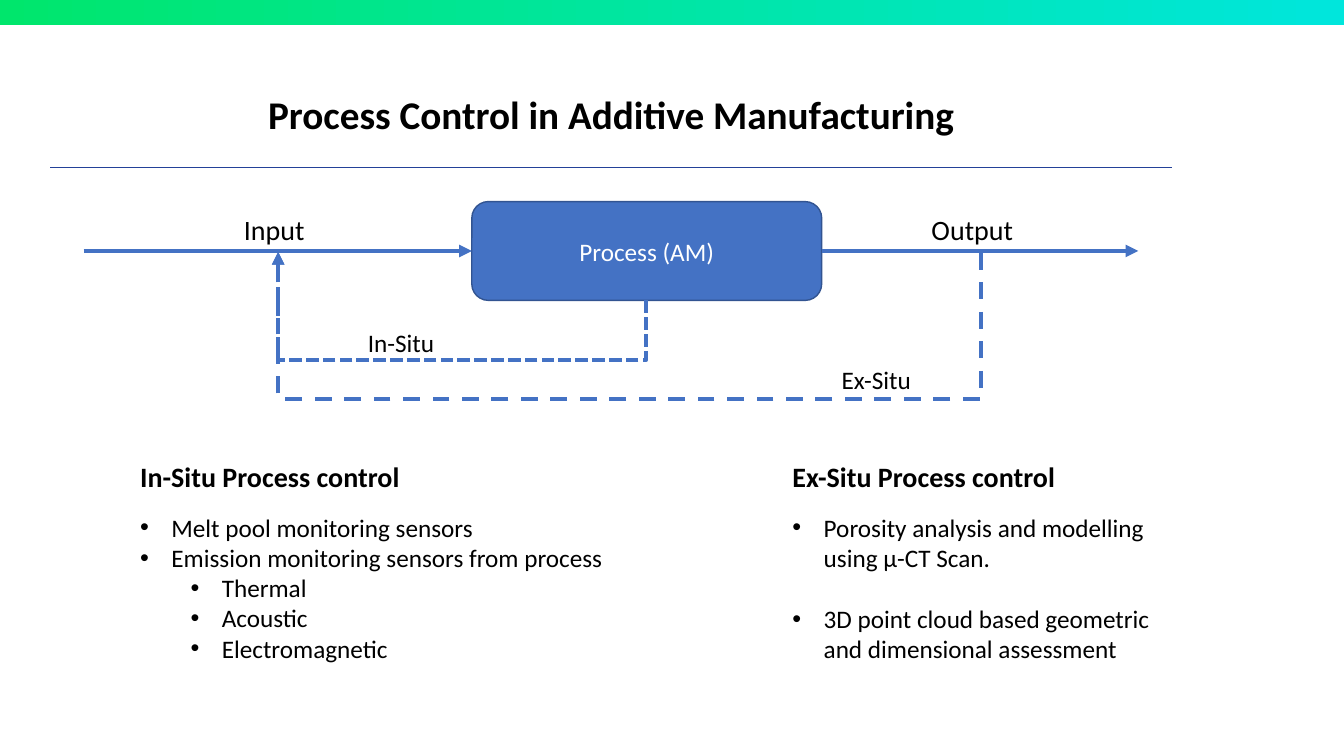
from dataclasses import dataclass

from pptx import Presentation
from pptx.dml.color import RGBColor
from pptx.enum.dml import MSO_LINE
from pptx.enum.shapes import MSO_CONNECTOR, MSO_SHAPE
from pptx.enum.text import MSO_ANCHOR, MSO_AUTO_SIZE, PP_ALIGN
from pptx.oxml.ns import qn
from pptx.util import Pt
from lxml import etree

PX = 9144
STRAIGHT, ELBOW = MSO_CONNECTOR.STRAIGHT, MSO_CONNECTOR.ELBOW
RECT, ROUND = MSO_SHAPE.RECTANGLE, MSO_SHAPE.ROUNDED_RECTANGLE
DOT, DASH = MSO_LINE.SQUARE_DOT, MSO_LINE.DASH
TOP, MIDDLE = MSO_ANCHOR.TOP, MSO_ANCHOR.MIDDLE
LEFT, CENTER = PP_ALIGN.LEFT, PP_ALIGN.CENTER
LEFT_SIDE, RIGHT_SIDE = 1, 3
COMPARE = 4


@dataclass(frozen=True)
class Theme:
    font: str = "Calibri"
    ink: str = "000000"
    white: str = "FFFFFF"
    blue: str = "4472C4"
    edge: str = "325491"
    rule: str = "234198"
    green: str = "00E66C"
    cyan: str = "00E6DC"
    title: int = 28
    head: int = 20
    body: int = 18


THEME = Theme()


def px(*nums):
    return [round(n * PX) for n in nums]


def rgb(code):
    return RGBColor.from_string(code)


def place(shape, box):
    shape.left, shape.top, shape.width, shape.height = px(*box)


def style(para, size, color=THEME.ink, bold=False, align=LEFT):
    para.alignment = align
    para.font.name = THEME.font
    para.font.size = Pt(size)
    para.font.bold = bold
    para.font.color.rgb = rgb(color)


def write(shape, text, size, anchor=TOP, **look):
    frame = shape.text_frame
    frame.text = text
    frame.word_wrap = True
    frame.auto_size = MSO_AUTO_SIZE.NONE
    frame.vertical_anchor = anchor
    para = frame.paragraphs[0]
    para.space_before = Pt(0)
    style(para, size, **look)
    return para


def label(slide, text, size, box):
    write(slide.shapes.add_textbox(*px(*box)), text, size)


def link(slide, kind, start, end, color, width, dash=None, arrow=True):
    line = slide.shapes.add_connector(kind, *px(*start, *end))
    line.line.color.rgb = rgb(color)
    line.line.width = Pt(width)
    if dash:
        line.line.dash_style = dash
    props = line._element.spPr
    if arrow:
        etree.SubElement(props.find(qn("a:ln")), qn("a:tailEnd"), type="triangle")
    etree.SubElement(props, qn("a:effectLst"))
    return line


def loop(slide, start, end, floor, dash):
    line = link(slide, ELBOW, start, end, THEME.blue, 3, dash)
    (x1, y1), (x2, y2) = start, end
    wide, high = y1 - y2, x1 - x2
    place(line, ((x1 + x2 - wide) / 2, (y1 + y2 - high) / 2, wide, high))
    props = line._element.spPr
    frame = props.find(qn("a:xfrm"))
    frame.set("rot", "5400000")
    frame.set("flipH", "1")
    frame.attrib.pop("flipV", None)
    bend = round((y1 - floor) / wide * 100000)
    guides = props.find(qn("a:prstGeom")).find(qn("a:avLst"))
    etree.SubElement(guides, qn("a:gd"), name="adj1", fmla=f"val {bend}")


def banner(slide, box):
    bar = slide.shapes.add_shape(RECT, *px(*box))
    bar.shadow.inherit = False
    bar.line.fill.background()
    bar.fill.gradient()
    bar.fill.gradient_angle = 0
    for stop, color in zip(bar.fill.gradient_stops, (THEME.green, THEME.cyan)):
        stop.color.rgb = rgb(color)


def header(slide, box):
    x, y, wide, high = box
    title = slide.shapes.title
    place(title, box)
    para = write(title, "Process Control in Additive Manufacturing", THEME.title,
                 MIDDLE, bold=True, align=CENTER)
    para.line_spacing = 0.9
    link(slide, STRAIGHT, (x - 6, y + 130), (x + wide + 6, y + 130),
         THEME.rule, 0.5, arrow=False)


def diagram(slide, box):
    x, y, wide, high = box
    flow = y + 49
    block = slide.shapes.add_shape(ROUND, *px(x + 385, y, 347, 98))
    block.shadow.inherit = False
    block.fill.solid()
    block.fill.fore_color.rgb = rgb(THEME.blue)
    block.line.color.rgb = rgb(THEME.edge)
    block.line.width = Pt(1)
    write(block, "Process (AM)", THEME.body, MIDDLE, color=THEME.white, align=CENTER)

    feed = link(slide, STRAIGHT, (x, flow), (x + 385, flow), THEME.blue, 3)
    feed.end_connect(block, LEFT_SIDE)
    exit_ = link(slide, STRAIGHT, (x + 732, flow), (x + wide, flow), THEME.blue, 3)
    exit_.begin_connect(block, RIGHT_SIDE)

    merge = (x + 193, flow + 1)
    loop(slide, (x + 558, y + 98), merge, y + 157, DOT)
    loop(slide, (x + 890, flow + 2), merge, y + high, DASH)

    label(slide, "Input", THEME.head, (x + 149, y + 6, 87, 44))
    label(slide, "Output", THEME.head, (x + 831, y + 6, 118, 44))
    label(slide, "In-Situ", THEME.body, (x + 272, y + 120, 88, 40))
    label(slide, "Ex-Situ", THEME.body, (x + 742, y + 157, 100, 40))


def bullet(para, level):
    para.level = level
    props = para._p.get_or_add_pPr()
    left, hang = px(31 + 50 * level, -31)
    props.set("marL", str(left))
    props.set("indent", str(hang))
    etree.SubElement(props, qn("a:buFont"), typeface="Arial")
    etree.SubElement(props, qn("a:buChar"), char="•")


def column(head, body, box, name, items, gap=0):
    x, y, wide, high = box
    place(head, (x, y, 303, 44))
    write(head, name, THEME.head, bold=True)
    place(body, (x, y + 52, wide, high - 52))
    frame = body.text_frame
    frame.auto_size = MSO_AUTO_SIZE.NONE
    for i, (level, text) in enumerate(items):
        para = frame.add_paragraph() if i else frame.paragraphs[0]
        para.text = text
        para.space_before = Pt(gap if i else 0)
        bullet(para, level)
        style(para, THEME.body)


def main():
    deck = Presentation()
    deck.slide_width, deck.slide_height = px(1333, 750)
    slide = deck.slides.add_slide(deck.slide_layouts[COMPARE])
    _, head1, body1, head2, body2 = slide.placeholders
    banner(slide, (0, -2, 1333, 27))
    header(slide, (56, 36, 1100, 159))
    diagram(slide, (83, 200, 1046, 198))
    column(head1, body1, (129, 451, 493, 244), "In-Situ Process control", [
        (0, "Melt pool monitoring sensors"),
        (0, "Emission monitoring sensors from process"),
        (1, "Thermal"),
        (1, "Acoustic"),
        (1, "Electromagnetic"),
    ])
    column(head2, body2, (776, 451, 409, 214), "Ex-Situ Process control", [
        (0, "Porosity analysis and modelling using µ-CT Scan."),
        (0, "3D point cloud based geometric and dimensional assessment"),
    ], gap=22)
    deck.save("out.pptx")


if __name__ == "__main__":
    main()
